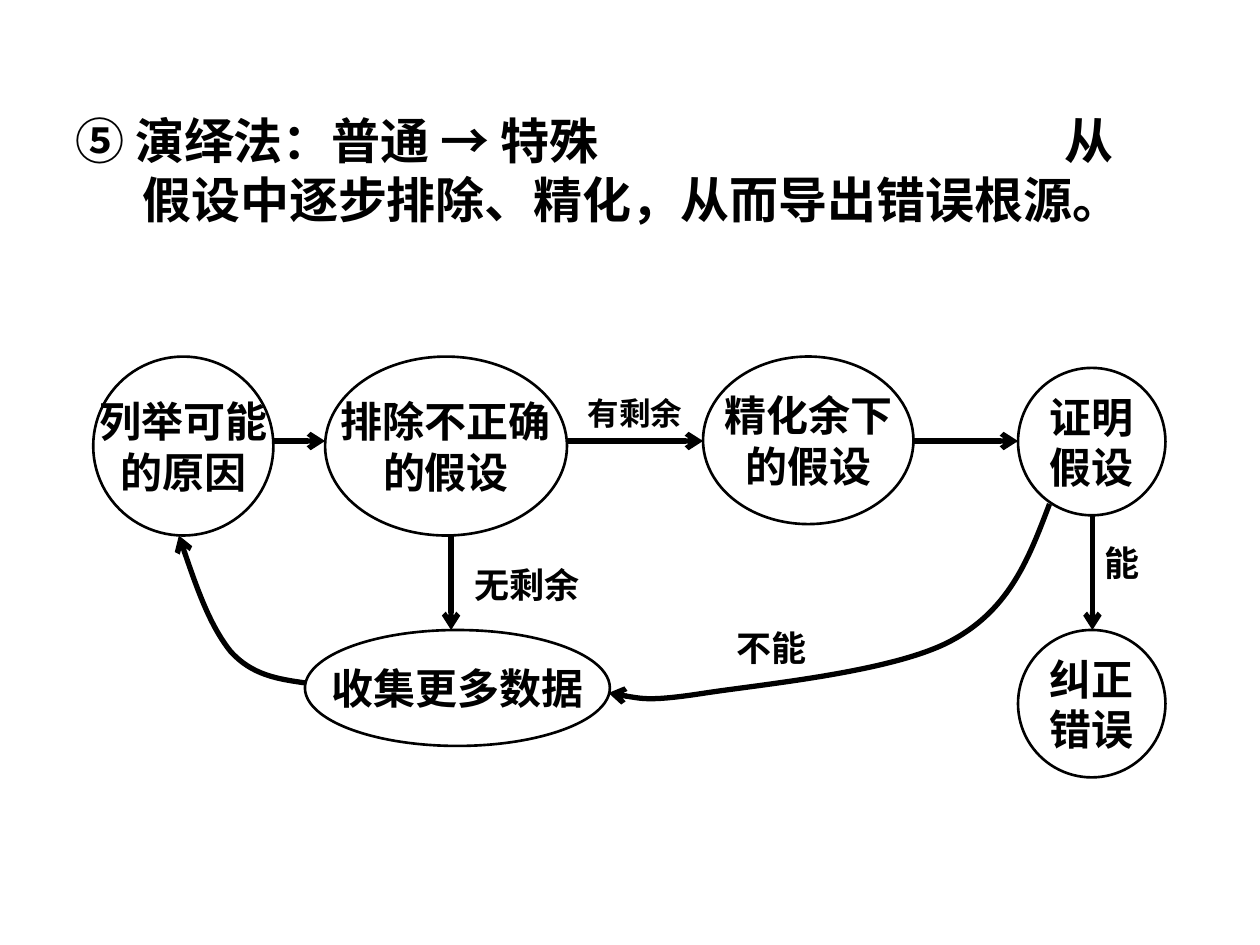
import dataclasses

import lxml.etree
import pptx
import pptx.dml.color
import pptx.enum.shapes
import pptx.enum.text
import pptx.oxml
import pptx.oxml.ns
import pptx.util

Inches = pptx.util.Inches
Pt = pptx.util.Pt
qn = pptx.oxml.ns.qn
Align = pptx.enum.text.PP_ALIGN
Anchor = pptx.enum.text.MSO_ANCHOR
AutoSize = pptx.enum.text.MSO_AUTO_SIZE


@dataclasses.dataclass(frozen=True)
class Theme:
    ink: pptx.dml.color.RGBColor = pptx.dml.color.RGBColor(0, 0, 0)
    body_font: str = "Times New Roman"
    symbol_font: str = "Arial"
    heading_size: int = 28
    step_size: int = 24
    label_size: int = 20
    small_label_size: int = 18
    outline: float = 1.5
    flow: int = 3


class FlowSlide:
    def __init__(self, slide, theme):
        self.slide = slide
        self.theme = theme

    def apply(self, target, values):
        for attribute, value in values.items():
            setattr(target, attribute, value)

    def style_font(self, font, size, name=None):
        self.apply(font, {"size": Pt(size), "bold": True,
                          "name": name or self.theme.body_font})
        font.color.rgb = self.theme.ink

    def stroke(self, line, width):
        line.color.rgb = self.theme.ink
        line.width = Pt(width)

    def arrowhead(self, shape):
        line = shape.line._get_or_add_ln()
        lxml.etree.SubElement(line, qn("a:tailEnd"), type="arrow")

    def heading(self, left, top, width, height, runs, indent):
        title = self.slide.shapes.title
        self.apply(title, {"left": Inches(left), "top": Inches(top),
                           "width": Inches(width), "height": Inches(height)})
        self.apply(title.text_frame, {"word_wrap": True, "vertical_anchor": Anchor.TOP,
                                      "auto_size": AutoSize.SHAPE_TO_FIT_TEXT})
        paragraph = title.text_frame.paragraphs[0]
        paragraph.alignment = Align.LEFT
        properties = paragraph._p.get_or_add_pPr()
        properties.set("marL", str(Inches(indent)))
        properties.set("indent", str(-Inches(indent)))
        for words, font_name, spacing in runs:
            run = paragraph.add_run()
            run.text = words
            self.style_font(run.font, self.theme.heading_size, font_name)
            if spacing:
                run._r.get_or_add_rPr().set("spc", str(spacing * 100))

    def step(self, left, top, width, height, lines):
        oval = self.slide.shapes.add_shape(
            pptx.enum.shapes.MSO_SHAPE.OVAL,
            Inches(left), Inches(top), Inches(width), Inches(height))
        oval.shadow.inherit = False
        oval.fill.background()
        self.stroke(oval.line, self.theme.outline)
        frame = oval.text_frame
        self.apply(frame, {"text": "\n".join(lines), "word_wrap": False,
                           "vertical_anchor": Anchor.MIDDLE})
        for paragraph in frame.paragraphs:
            paragraph.alignment = Align.CENTER
            self.style_font(paragraph.font, self.theme.step_size)

    def label(self, left, top, width, height, words, size, alignment):
        box = self.slide.shapes.add_textbox(
            Inches(left), Inches(top), Inches(width), Inches(height))
        frame = box.text_frame
        self.apply(frame, {"text": words, "word_wrap": True,
                           "auto_size": AutoSize.SHAPE_TO_FIT_TEXT})
        frame.paragraphs[0].alignment = alignment
        self.style_font(frame.paragraphs[0].font, size)

    def arrow(self, start, end):
        connector = self.slide.shapes.add_connector(
            pptx.enum.shapes.MSO_CONNECTOR.STRAIGHT,
            *(Inches(value) for value in (*start, *end)))
        self.stroke(connector.line, self.theme.flow)
        self.arrowhead(connector)
        lxml.etree.SubElement(connector._element.spPr, qn("a:effectLst"))

    def curved_arrow(self, *points):
        start, *controls = [(Inches(x), Inches(y)) for x, y in points]
        builder = self.slide.shapes.build_freeform(*start)
        builder.add_line_segments(controls, close=False)
        curve = builder.convert_to_shape()
        path = curve._element.find(".//" + qn("a:path"))
        segments = path.findall(qn("a:lnTo"))
        for first in range(0, len(segments), 3):
            bezier = lxml.etree.SubElement(path, qn("a:cubicBezTo"))
            for segment in segments[first:first + 3]:
                bezier.append(segment[0])
                path.remove(segment)
        curve.shadow.inherit = False
        curve.fill.background()
        self.stroke(curve.line, self.theme.flow)
        self.arrowhead(curve)


def main():
    presentation = pptx.Presentation()
    presentation.slide_width = Inches(10)
    presentation.slide_height = Inches(7.5)
    theme = Theme()
    flow = FlowSlide(presentation.slides.add_slide(presentation.slide_layouts[5]), theme)

    flow.heading(0.5, 0.83, 8.75, 1.5, [
        ("⑤ 演绎法：普通 ", theme.body_font, 0),
        ("→", theme.symbol_font, 0),
        (" 特殊", theme.body_font, 0),
        (" ", theme.body_font, 260),
        ("从假设中逐步排除、精化，从而导出错误根源。", theme.body_font, 0),
    ], indent=0.53)

    steps = [
        (0.74, 2.83, 1.43, 1.42, ["列举可能", "的原因"]),
        (2.58, 2.83, 1.92, 1.42, ["排除不正确", "的假设"]),
        (5.58, 2.83, 1.67, 1.33, ["精化余下", "的假设"]),
        (8.08, 2.92, 1.17, 1.17, ["证明", "假设"]),
        (2.42, 5, 2.42, 0.92, ["收集更多数据"]),
        (8.08, 5, 1.17, 1.17, ["纠正", "错误"]),
    ]
    for step in steps:
        flow.step(*step)

    main_row = steps[:4]
    row_y = 3.5
    for source, target in zip(main_row, main_row[1:]):
        flow.arrow((source[0] + source[2], row_y), (target[0], row_y))
    for x, top in ((3.58, 4.25), (8.67, 4.08)):
        flow.arrow((x, top), (x, 5))

    flow.curved_arrow((8.33, 4), (8.17, 4.42), (8.02, 4.83), (7.56, 5.08),
                      (7.11, 5.33), (6.06, 5.43), (5.6, 5.5),
                      (5.15, 5.57), (4.99, 5.53), (4.83, 5.5))
    flow.curved_arrow((2.42, 5.42), (2.21, 5.39), (2, 5.36), (1.83, 5.17),
                      (1.67, 4.97), (1.54, 4.61), (1.42, 4.25))

    flow.label(4.5, 3.08, 1.08, 0.4, "有剩余", theme.small_label_size, Align.CENTER)
    for left, top, width, words in (
        (8.67, 4.25, 0.58, "能"),
        (5.75, 4.92, 1.08, "不能"),
        (3.67, 4.42, 1.08, "无剩余"),
    ):
        flow.label(left, top, width, 0.44, words, theme.label_size, Align.LEFT)

    presentation.save("out.pptx")


if __name__ == "__main__":
    main()
